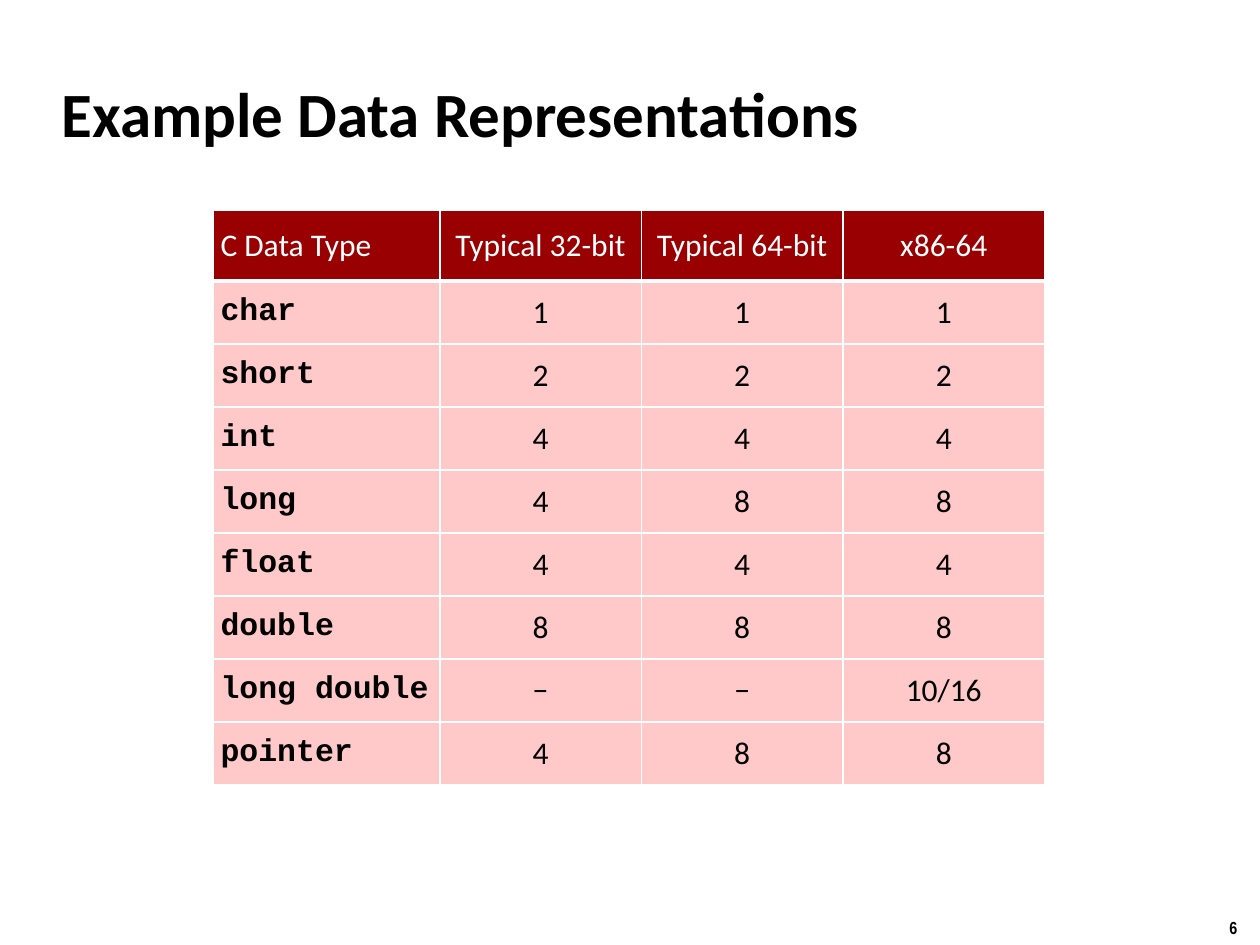
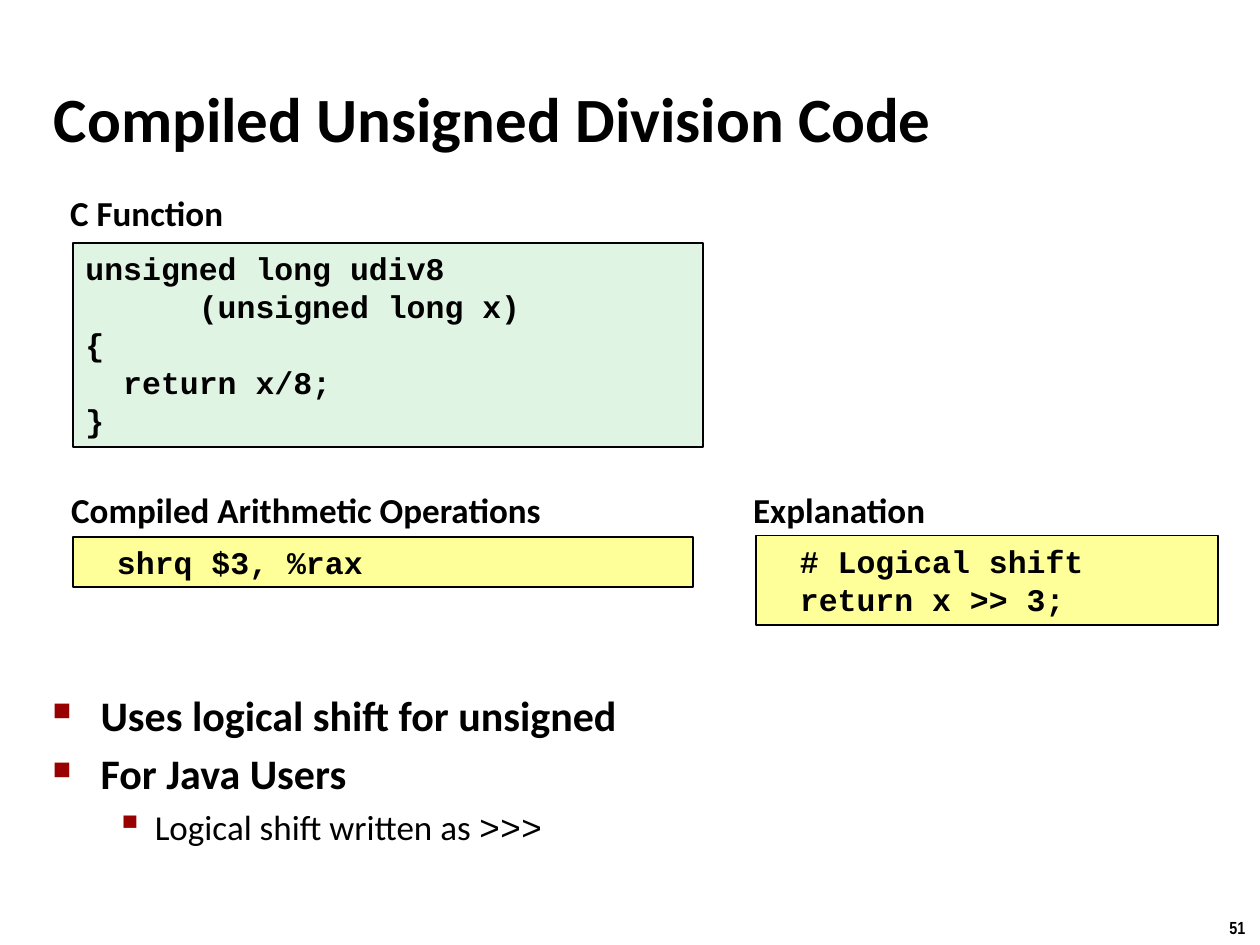
"""Build two slides on C data sizes and compiled unsigned division."""
from lxml import etree
from pptx import Presentation
from pptx.dml.color import RGBColor
from pptx.enum.shapes import MSO_SHAPE
from pptx.enum.text import MSO_ANCHOR, PP_ALIGN
from pptx.oxml.ns import qn
from pptx.util import Pt

RECT = MSO_SHAPE.RECTANGLE
TOP, MIDDLE = MSO_ANCHOR.TOP, MSO_ANCHOR.MIDDLE
LEFT, CENTER = PP_ALIGN.LEFT, PP_ALIGN.CENTER
EMU_PER_PX = 9144
BODY, CODE, NUMBER = "Calibri", "Courier New", "Arial Narrow"
COLORS = {
    "text": "000000", "white": "FFFFFF", "header": "980002", "row": "FFC8C9",
    "bullet": "990000", "source": "E0F4E3", "assembly": "FFFF99",
}
CODE_CHAR = 15

HEADINGS = ["C Data Type", "Typical 32-bit", "Typical 64-bit", "x86-64"]
SIZES = [
    ["char", "1", "1", "1"],
    ["short", "2", "2", "2"],
    ["int", "4", "4", "4"],
    ["long", "4", "8", "8"],
    ["float", "4", "4", "4"],
    ["double", "8", "8", "8"],
    ["long double", "−", "−", "10/16"],
    ["pointer", "4", "8", "8"],
]
UDIV8 = [("unsigned long udiv8", 0), ("(unsigned long x)", 6), ("{", 0),
         ("return x/8;", 2), ("}", 0)]
BULLETS = [
    (["Uses logical shift for unsigned"], 0),
    (["For Java Users"], 0),
    (["Logical shift written as ", ">>>"], 1),
]
BULLET_LEVELS = [
    dict(char="■", percent=60, left=38, hang=38, size=24, bold=True),
    dict(char="▪", percent=110, left=81, hang=31, size=20, bold=False),
]


def px(n):
    """Turn px into EMU."""
    return n * EMU_PER_PX


def rgb(name):
    """Look up a named colour."""
    return RGBColor.from_string(COLORS[name])


def child(parent, tag, **attrs):
    """Append one drawing element with its attributes."""
    e = etree.SubElement(parent, qn(tag))
    for key, value in attrs.items():
        e.set(key, str(value))
    return e


def style(p, size, name=BODY, bold=True, color="text", align=LEFT):
    """Set a paragraph's font and alignment."""
    p.alignment = align
    f = p.font
    f.size, f.name, f.bold = Pt(size), name, bold
    f.color.rgb = rgb(color)


def add_text(slide, box, text, size, name=BODY, align=LEFT, anchor=TOP, wrap=True, inset=None):
    """Add a text box holding one bold paragraph."""
    tf = slide.shapes.add_textbox(*map(px, box)).text_frame
    tf.word_wrap, tf.vertical_anchor = wrap, anchor
    if inset is not None:
        tf.margin_left = tf.margin_right = tf.margin_top = tf.margin_bottom = px(inset)
    p = tf.paragraphs[0]
    p.text = text
    style(p, size, name, align=align)


def add_slide(prs, title, title_box, number):
    """Add a blank slide with its title and page number."""
    slide = prs.slides.add_slide(prs.slide_layouts[6])
    add_text(slide, (966, 723, 34, 27), number, 10, NUMBER, wrap=False)
    add_text(slide, title_box, title, 36, anchor=MIDDLE)
    return slide


def add_label(slide, box, text):
    """Add the heading above a code box."""
    add_text(slide, box, text, 20, align=CENTER, wrap=False, inset=5)


def add_code(slide, box, lines, fill, tabbed=False):
    """Add a code box of (text, indent in characters) lines."""
    sp = slide.shapes.add_shape(RECT, *map(px, box))
    sp.shadow.inherit = False
    sp.fill.solid()
    sp.fill.fore_color.rgb = rgb(fill)
    sp.line.color.rgb = rgb("text")
    sp.line.width = Pt(1)
    tf = sp.text_frame
    tf.vertical_anchor = TOP
    for i, (text, indent) in enumerate(lines):
        p = tf.add_paragraph() if i else tf.paragraphs[0]
        p.text = text
        pPr = p._p.get_or_add_pPr()
        if indent:
            pPr.set("marL", str(px(indent * CODE_CHAR)))
        if tabbed:
            child(child(pPr, "a:tabLst"), "a:tab", pos=px(25), algn="l")
        style(p, 18, CODE)


def add_bullets(slide, box, items):
    """Add the two-level bullet list."""
    tf = slide.shapes.add_textbox(*map(px, box)).text_frame
    tf.word_wrap = True
    for i, (parts, level) in enumerate(items):
        look = BULLET_LEVELS[level]
        p = tf.add_paragraph() if i else tf.paragraphs[0]
        p.level = level
        pPr = p._p.get_or_add_pPr()
        pPr.set("marL", str(px(look["left"])))
        pPr.set("indent", str(-px(look["hang"])))
        child(child(pPr, "a:buClr"), "a:srgbClr", val=COLORS["bullet"])
        child(pPr, "a:buSzPct", val=look["percent"] * 1000)
        child(pPr, "a:buChar", char=look["char"])
        p.space_before = Pt(look["size"] * 0.2)
        style(p, look["size"], bold=look["bold"])
        for j, text in enumerate(parts):
            r = p.add_run()
            r.text = text
            if j:
                r.font.name = CODE


def fill_cell(cell, text, row, col):
    """Write and style one table cell."""
    tcPr = cell._tc.get_or_add_tcPr()
    thick = {"a:lnT": row == 1, "a:lnB": row == 0}
    for tag in ("a:lnL", "a:lnR", "a:lnT", "a:lnB"):
        ln = child(tcPr, tag, w=Pt(3 if thick.get(tag) else 1))
        child(child(ln, "a:solidFill"), "a:srgbClr", val=COLORS["white"])
    cell.fill.solid()
    cell.fill.fore_color.rgb = rgb("row" if row else "header")
    cell.vertical_anchor = MIDDLE
    cell.margin_left = cell.margin_right = cell.margin_top = cell.margin_bottom = px(6)
    cell.text = text
    is_type = row > 0 and col == 0
    style(cell.text_frame.paragraphs[0], 18, CODE if is_type else BODY, is_type,
          "text" if row else "white", CENTER if col else LEFT)


def add_size_table(slide, box, rows):
    """Add the table of data sizes, with wider first column and taller header."""
    left, top, width, height = box
    count, columns = len(rows), len(rows[0])
    table = slide.shapes.add_table(count, columns, *map(px, box)).table
    table.first_row = table.horz_banding = False
    for i, column in enumerate(table.columns):
        column.width = px(160 if i else width - 160 * (columns - 1))
    for i, row in enumerate(table.rows):
        row.height = px(50 if i else height - 50 * (count - 1))
        for j, text in enumerate(rows[i]):
            fill_cell(table.cell(i, j), text, i, j)


def data_slide(prs):
    """Build the data representations slide."""
    slide = add_slide(prs, "Example Data Representations", (39, 48, 830, 83), "6")
    add_size_table(slide, (169, 167, 660, 456), [HEADINGS] + SIZES)


def division_slide(prs):
    """Build the unsigned division slide."""
    slide = add_slide(prs, "Compiled Unsigned Division Code", (33, 62, 867, 63), "51")
    add_code(slide, (58, 426, 492, 40), [("\tshrq\t$3, %rax", 0)], "assembly", True)
    add_bullets(slide, (32, 542, 909, 130), BULLETS)
    add_code(slide, (58, 193, 500, 162), UDIV8, "source")
    add_code(slide, (600, 425, 367, 71),
             [("\t# Logical shift", 0), ("\treturn x >> 3;", 0)], "assembly", True)
    add_label(slide, (50, 147, 133, 44), "C Function")
    add_label(slide, (50, 383, 386, 44), "Compiled Arithmetic Operations")
    add_label(slide, (592, 383, 148, 44), "Explanation")


def main():
    """Build and save the presentation."""
    prs = Presentation()
    prs.slide_width, prs.slide_height = px(1000), px(750)
    data_slide(prs)
    division_slide(prs)
    prs.save("out.pptx")


if __name__ == "__main__":
    main()
